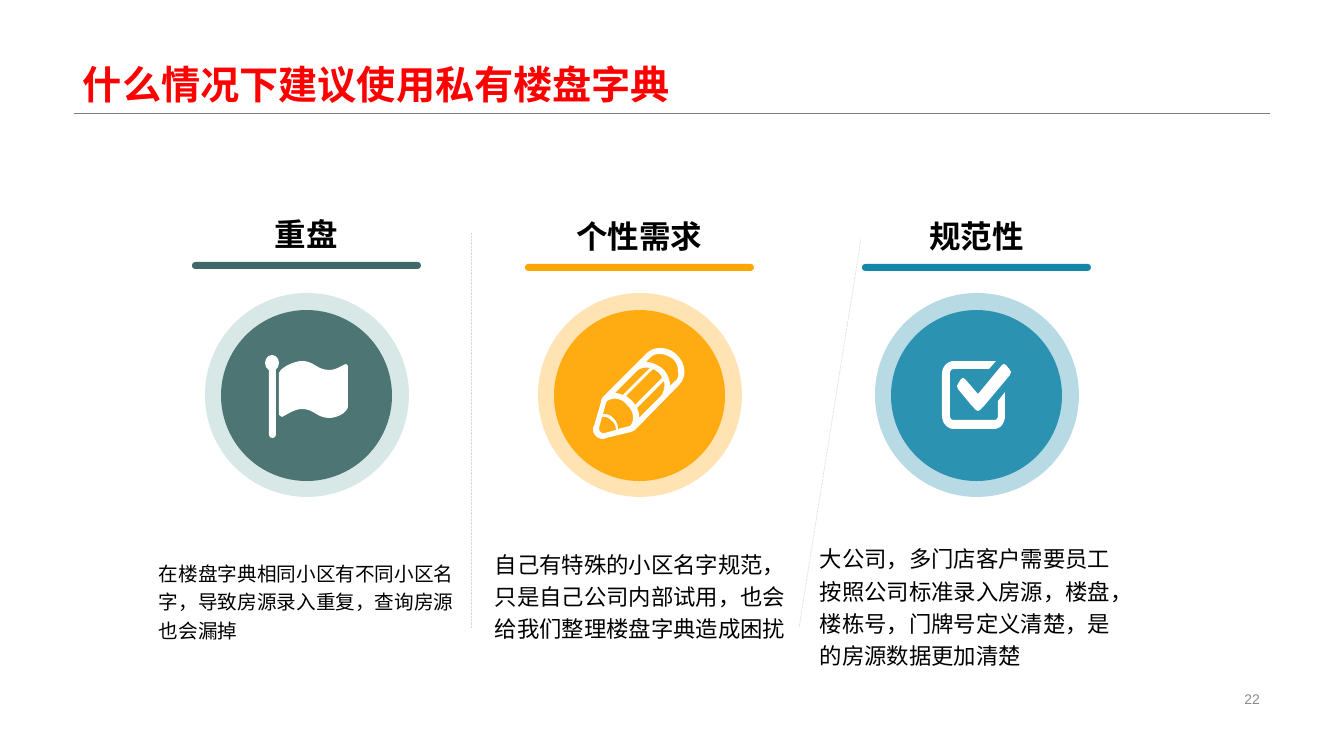
from lxml import etree
from pptx import Presentation
from pptx.dml.color import RGBColor
from pptx.enum.dml import MSO_LINE
from pptx.enum.shapes import MSO_CONNECTOR, MSO_SHAPE
from pptx.enum.text import MSO_ANCHOR, PP_ALIGN
from pptx.oxml.ns import qn
from pptx.util import Pt

SCALE = 914400 / 100.8  # EMU in one px
FONT = "Arial"
RED = RGBColor(0xFF, 0x00, 0x00)
BLACK = RGBColor(0x00, 0x00, 0x00)
WHITE = RGBColor(0xFF, 0xFF, 0xFF)
GRAY = RGBColor(0x80, 0x80, 0x80)
NUMBER_GRAY = RGBColor(0x8C, 0x8C, 0x8C)
LIGHT_GRAY = RGBColor(0xD9, 0xD9, 0xD9)
GREEN = RGBColor(0x3E, 0x69, 0x68)
PALE_GREEN = RGBColor(0x7E, 0xB3, 0xB1)
ORANGE = RGBColor(0xFF, 0xA5, 0x00)
BLUE = RGBColor(0x14, 0x86, 0xA9)

LEFT, CENTER, RIGHT = PP_ALIGN.LEFT, PP_ALIGN.CENTER, PP_ALIGN.RIGHT
TOP, MIDDLE, BOTTOM = MSO_ANCHOR.TOP, MSO_ANCHOR.MIDDLE, MSO_ANCHOR.BOTTOM
OVAL, ROUNDED = MSO_SHAPE.OVAL, MSO_SHAPE.ROUNDED_RECTANGLE
STRAIGHT, DOTTED = MSO_CONNECTOR.STRAIGHT, MSO_LINE.ROUND_DOT

# centre x, heading, heading top, bar and disc colour, ring colour, disc opacity,
# body text, body left, body top, body height, body size
COLUMNS = [
    (307, "重盘", 210, GREEN, PALE_GREEN, 90,
     "在楼盘字典相同小区有不同小区名字，导致房源录入重复，查询房源也会漏掉",
     154, 514, 131, 14),
    (640, "个性需求", 212, ORANGE, ORANGE, 90,
     "自己有特殊的小区名字规范，只是自己公司内部试用，也会给我们整理楼盘字典造成困扰",
     490, 497, 148, 16),
    (977, "规范性", 212, BLUE, BLUE, 85,
     "大公司，多门店客户需要员工按照公司标准录入房源，楼盘，楼栋号，门牌号定义清楚，是的房源数据更加清楚",
     815, 497, 175, 16),
]

# Icon outlines: two numbers are a straight step, six are a cubic curve.
FLAG_CLOTH = [
    [(348, 366), (348, 407), (346, 414, 336, 418, 329, 418),
     (317, 418, 314, 409, 302, 409), (295, 409, 288, 414, 282, 417),
     (279, 415), (279, 373), (281, 367, 295, 361, 302, 361),
     (314, 361, 317, 370, 329, 370), (336, 370, 341, 366, 346, 364)],
]
PENCIL = [
    [(677, 355), (672, 350, 666, 348, 660, 348), (655, 348, 650, 350, 647, 353),
     (603, 397), (602, 398, 601, 400, 601, 402), (594, 426),
     (593, 427, 593, 428, 593, 429), (593, 435, 598, 439, 603, 439),
     (604, 439, 606, 438, 606, 438), (631, 432), (633, 431, 634, 431, 636, 429),
     (679, 385), (687, 377, 686, 364, 677, 355)],
    [(639, 415), (639, 413, 638, 410, 637, 408), (664, 381),
     (665, 386, 664, 392, 661, 396), (639, 418)],
    [(635, 405), (634, 402, 629, 398, 626, 396), (653, 369),
     (657, 371, 661, 374, 662, 378)],
    [(623, 395), (620, 394, 618, 393, 615, 393), (637, 371),
     (640, 368, 645, 367, 650, 368)],
    [(605, 433), (602, 434, 599, 432, 599, 428), (602, 417),
     (606, 416, 609, 418, 612, 421), (615, 423, 616, 427, 616, 430)],
    [(618, 429), (618, 426, 617, 422, 614, 419), (611, 415, 607, 414, 603, 414),
     (606, 403), (607, 401), (613, 397, 622, 398, 627, 405),
     (634, 411, 635, 421, 630, 426)],
    [(675, 381), (670, 386), (670, 379, 667, 373, 663, 369),
     (658, 365, 652, 362, 646, 362), (651, 357), (653, 355, 656, 354, 660, 354),
     (664, 354, 669, 356, 673, 359), (677, 363, 678, 367, 678, 371),
     (679, 375, 678, 379, 675, 381)],
]
CHECK_BOX = [
    [(998, 401), (1005, 392), (1005, 415), (1005, 424, 1000, 429, 994, 429),
     (954, 429), (948, 429, 942, 424, 942, 415), (942, 374),
     (942, 366, 948, 361, 954, 361), (996, 361), (989, 369), (954, 369),
     (951, 369, 950, 371, 950, 374), (950, 415), (950, 418, 951, 420, 954, 420),
     (994, 420), (997, 420, 998, 418, 998, 415)],
    [(1010, 370), (1011, 372), (1010, 375), (984, 406), (980, 410), (978, 411),
     (976, 410), (972, 406), (958, 389), (957, 386), (958, 384), (961, 379),
     (963, 378), (965, 379), (978, 394), (1002, 365), (1004, 364), (1006, 365)],
]


def px(n):
    return round(n * SCALE)


def add_text(slide, box, text, size, color, bold=False, align=LEFT, anchor=TOP,
             spacing=None, wrap=True, insets=(10, 5)):
    tf = slide.shapes.add_textbox(*map(px, box)).text_frame
    tf.word_wrap = wrap
    tf.vertical_anchor = anchor
    tf.margin_left = tf.margin_right = px(insets[0])
    tf.margin_top = tf.margin_bottom = px(insets[1])
    p = tf.paragraphs[0]
    p.alignment = align
    p.line_spacing = spacing
    r = p.add_run()
    r.text = text
    r.font.name = FONT
    r.font.size = Pt(size)
    r.font.bold = bold
    r.font.color.rgb = color


def paint(sp, color, opacity=100):
    sp.shadow.inherit = False
    sp.line.fill.background()
    sp.fill.solid()
    sp.fill.fore_color.rgb = color
    if opacity < 100:
        clr = sp._element.spPr.find(".//" + qn("a:srgbClr"))
        etree.SubElement(clr, qn("a:alpha")).set("val", str(opacity * 1000))


def add_shape(slide, kind, box, color, opacity=100):
    sp = slide.shapes.add_shape(kind, *map(px, box))
    if kind == ROUNDED:
        sp.adjustments[0] = 0.5
    paint(sp, color, opacity)


def add_line(slide, ends, color, width, dash=None):
    line = slide.shapes.add_connector(STRAIGHT, *map(px, ends))
    line.line.color.rgb = color
    line.line.width = Pt(width)
    line.line.dash_style = dash
    etree.SubElement(line._element.spPr, qn("a:effectLst"))


def flatten(outline, steps=8):
    """Turn an outline of straight and curved steps into EMU points."""
    points = [outline[0]]
    for step in outline[1:]:
        if len(step) == 2:
            points.append(step)
            continue
        start = points[-1]
        for i in range(1, steps + 1):
            t = i / steps
            u = 1 - t
            points.append(tuple(
                u**3 * start[k] + 3 * u * u * t * step[k]
                + 3 * u * t * t * step[k + 2] + t**3 * step[k + 4]
                for k in (0, 1)))
    return [(px(x), px(y)) for x, y in points]


def add_icon(slide, outlines):
    first, *others = map(flatten, outlines)
    builder = slide.shapes.build_freeform(*first[0])
    builder.add_line_segments(first[1:], close=True)
    for points in others:
        builder.move_to(*points[0])
        builder.add_line_segments(points[1:], close=True)
    paint(builder.convert_to_shape(), WHITE)


def add_column(slide, center, heading, top, color, ring, opacity,
               body, body_left, body_top, body_height, body_size):
    add_text(slide, (center - 115, top, 229, 52), heading, 22.5, BLACK,
             bold=True, align=CENTER, wrap=False)
    add_shape(slide, ROUNDED, (center - 115, top + 52, 229, 7), color)
    add_shape(slide, OVAL, (center - 102, 293, 204, 204), ring, 30)
    add_shape(slide, OVAL, (center - 86, 310, 171, 171), color, opacity)
    add_text(slide, (body_left, body_top, 310, body_height), body, body_size,
             BLACK, anchor=BOTTOM, spacing=1.2, insets=(5, 3))


def main():
    prs = Presentation()
    prs.slide_width, prs.slide_height = px(1344), px(756)
    slide = prs.slides.add_slide(prs.slide_layouts[6])

    add_line(slide, (74, 113, 1270, 113), GRAY, 0.25)
    add_text(slide, (73, 0, 1197, 113), "什么情况下建议使用私有楼盘字典", 28, RED,
             bold=True, anchor=BOTTOM, spacing=0.9)
    add_text(slide, (950, 687, 320, 23), "22", 10, NUMBER_GRAY,
             align=RIGHT, anchor=MIDDLE)

    for ends in ((471, 233, 471, 628), (861, 239, 799, 628)):
        add_line(slide, ends, LIGHT_GRAY, 0.5, DOTTED)
    for column in COLUMNS:
        add_column(slide, *column)

    add_shape(slide, ROUNDED, (269, 364, 7, 74), WHITE)
    add_shape(slide, OVAL, (265, 355, 14, 16), WHITE)
    for outlines in (FLAG_CLOTH, PENCIL, CHECK_BOX):
        add_icon(slide, outlines)
    prs.save("out.pptx")


if __name__ == "__main__":
    main()
